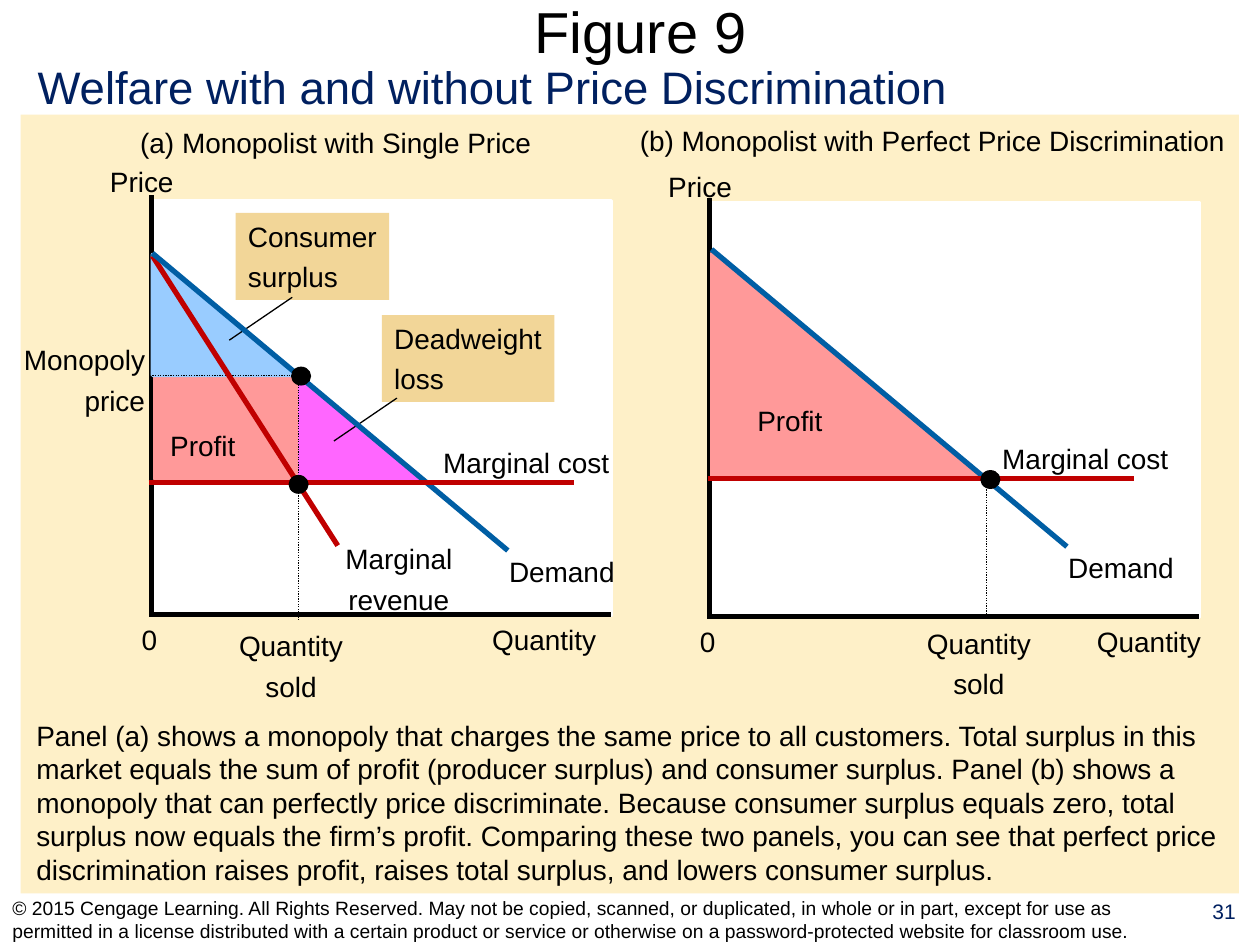
from lxml.etree import SubElement
from pptx import Presentation
from pptx.dml.color import RGBColor
from pptx.enum.dml import MSO_LINE_DASH_STYLE as Dash
from pptx.enum.shapes import MSO_CONNECTOR as Connector, MSO_SHAPE as Shape
from pptx.enum.text import MSO_ANCHOR as Anchor, MSO_AUTO_SIZE as AutoSize, PP_ALIGN as Align
from pptx.oxml.ns import qn
from pptx.util import Pt

COLORS = {
    "panel": "FEF0C8", "callout": "F2D698", "white": "FFFFFF", "black": "000000",
    "navy": "002060", "demand": "005EA4", "cost": "C00000",
    "profit": "FF9999", "surplus": "99CCFF", "loss": "FF66FF",
}
LABEL_HEIGHT, TWO_LINE_HEIGHT = 26.6, 49.7
QUANTITY_WIDTH = 77
DESCRIPTION = (
    "Panel (a) shows a monopoly that charges the same price to all customers. "
    "Total surplus in this market equals the sum of profit (producer surplus) and "
    "consumer surplus. Panel (b) shows a monopoly that can perfectly price "
    "discriminate. Because consumer surplus equals zero, total surplus now equals "
    "the firm’s profit. Comparing these two panels, you can see that perfect price "
    "discrimination raises profit, raises total surplus, and lowers consumer surplus."
)
COPYRIGHT = (
    "© 2015 Cengage Learning. All Rights Reserved. May not be copied, scanned, or "
    "duplicated, in whole or in part, except for use as permitted in a license "
    "distributed with a certain product or service or otherwise on a "
    "password-protected website for classroom use."
)


def color(name):
    return RGBColor.from_string(COLORS[name])


def add_text(slide, text, left, top, width, height=LABEL_HEIGHT, size=16, ink="black",
             align=Align.CENTER, space=4, wrap=False, anchor=Anchor.TOP, margin=7.2,
             fill=None):
    """Add a text box with one paragraph for each line of text."""
    shape = slide.shapes.add_textbox(Pt(left), Pt(top), Pt(width), Pt(height))
    if fill:
        shape.fill.solid()
        shape.fill.fore_color.rgb = color(fill)
    frame = shape.text_frame
    frame.word_wrap = wrap
    frame.auto_size = AutoSize.NONE if wrap else AutoSize.SHAPE_TO_FIT_TEXT
    frame.vertical_anchor = anchor
    frame.margin_left = frame.margin_right = Pt(margin)
    frame.margin_top = frame.margin_bottom = Pt(margin / 2)
    frame.text = text
    for index, paragraph in enumerate(frame.paragraphs):
        paragraph.alignment = align
        paragraph.space_before = Pt(space if index else 0)
        paragraph.font.name = "Arial"
        paragraph.font.size = Pt(size)
        paragraph.font.color.rgb = color(ink)


def add_area(slide, kind, fill, left, top, width, height, outline=True):
    shape = slide.shapes.add_shape(kind, Pt(left), Pt(top), Pt(width), Pt(height))
    shape.shadow.inherit = False
    shape.fill.solid()
    shape.fill.fore_color.rgb = color(fill)
    if outline:
        shape.line.color.rgb = color(fill)
        shape.line.width = Pt(2)
    else:
        shape.line.fill.background()
    if kind == Shape.ISOSCELES_TRIANGLE:
        shape.adjustments[0] = 0


def add_line(slide, x1, y1, x2, y2, ink="black", weight=3, dotted=False):
    line = slide.shapes.add_connector(Connector.STRAIGHT, Pt(x1), Pt(y1), Pt(x2), Pt(y2))
    line.line.color.rgb = color(ink)
    line.line.width = Pt(weight)
    if dotted:
        line.line.dash_style = Dash.ROUND_DOT
    SubElement(line._element.spPr, qn("a:effectLst"))


def add_guide(slide, x1, y1, x2, y2):
    add_line(slide, x1, y1, x2, y2, weight=0.75, dotted=True)


def add_dot(slide, left, top):
    add_area(slide, Shape.OVAL, "black", left, top, 11.5, 10.8, outline=False)


def add_quantity_label(slide, text, center, top, height=LABEL_HEIGHT):
    add_text(slide, text, center - QUANTITY_WIDTH / 2, top, QUANTITY_WIDTH, height)


def add_axes(slide, x, top, width, price_top, quantity_center):
    """Add the white plot area, both axes and their labels."""
    bottom = top + 239.5
    add_area(slide, Shape.RECTANGLE, "white", x + 1, top + 2.9, width - 1, 236.9)
    add_line(slide, x, top, x, bottom + 1)
    add_line(slide, x - 1, bottom, x + width, bottom)
    add_text(slide, "Price", x - 34.1, price_top, 54, align=Align.RIGHT)
    add_quantity_label(slide, "Quantity", quantity_center, bottom + 1)
    add_text(slide, "0", x - 13, bottom + 1, 24)


def add_curves(slide, dx=0, dy=0):
    """Add the demand and marginal cost curves, moved by dx and dy."""
    add_line(slide, 87.1 + dx, 144.7 + dy, 290.2 + dx, 314.6 + dy, "demand")
    add_text(slide, "Demand ", 283.7 + dx, 313.2 + dy, 79.2)
    add_line(slide, 85 + dx, 275.8 + dy, 328.3 + dx, 275.8 + dy, "cost")
    add_text(slide, "Marginal cost", 245 + dx, 250.9 + dy, 111.4)


def add_callout(slide, text, left, top, width, pointer):
    add_text(slide, text, left, top, width, TWO_LINE_HEIGHT, align=Align.LEFT,
             fill="callout")
    x, y = pointer
    add_line(slide, x, y, x + 36, y - 24.5, weight=0.75)


def add_single_price_panel(slide):
    add_text(slide, "(a) Monopolist with Single Price", 65.5, 68.4, 252.7, wrap=True)
    add_axes(slide, 86.4, 111.6, 263, 90.7, 311)
    add_area(slide, Shape.RECTANGLE, "profit", 88.6, 215.3, 81.4, 58.3)
    add_text(slide, "Profit ", 90, 241.2, 56.2)
    add_area(slide, Shape.ISOSCELES_TRIANGLE, "surplus", 87.1, 145.4, 82.8, 69.1)
    add_callout(slide, "Consumer\nsurplus", 134.6, 121.7, 87.8, (131, 194.4))
    add_area(slide, Shape.ISOSCELES_TRIANGLE, "loss", 171.4, 216.7, 69.8, 57.6)
    add_callout(slide, "Deadweight\nloss", 218.2, 180, 98.6, (190.8, 252))
    add_guide(slide, 87.1, 214.6, 170.6, 214.6)
    add_text(slide, "Monopoly\nprice", 4.5, 192.2, 85.5, TWO_LINE_HEIGHT, align=Align.RIGHT)
    add_guide(slide, 170.6, 216.7, 170.6, 355)
    add_quantity_label(slide, "Quantity\nsold", 166.3, 355.7, TWO_LINE_HEIGHT)
    add_line(slide, 87.1, 146.2, 193, 311.8, "cost")
    add_text(slide, "Marginal\nrevenue", 189, 306, 77.8, TWO_LINE_HEIGHT)
    add_curves(slide)
    add_dot(slide, 166.3, 209.5)
    add_dot(slide, 164.9, 271.4)


def add_discrimination_panel(slide):
    add_text(slide, "(b) Monopolist with Perfect Price Discrimination", 357.1, 67, 351.4,
             wrap=True)
    add_axes(slide, 405.4, 113, 280, 93.6, 656.6)
    add_guide(slide, 563.8, 272.2, 563.8, 353.5)
    add_quantity_label(slide, "Quantity\nsold", 559.4, 354.2, TWO_LINE_HEIGHT)
    add_area(slide, Shape.ISOSCELES_TRIANGLE, "profit", 406.8, 144.7, 153.4, 127.4)
    add_text(slide, "Profit ", 425.5, 226.8, 56.2)
    add_curves(slide, 319.5, -2.2)
    add_dot(slide, 560.2, 268.6)


def main():
    presentation = Presentation()
    presentation.slide_width, presentation.slide_height = Pt(720), Pt(540)
    slide = presentation.slides.add_slide(presentation.slide_layouts[6])
    add_area(slide, Shape.RECTANGLE, "panel", 11.8, 65.5, 696.2, 445, outline=False)
    add_text(slide, "Figure 9", 25.2, 0, 681.8, 35.3, size=33, wrap=True,
             anchor=Anchor.MIDDLE, margin=0)
    add_text(slide, "Welfare with and without Price Discrimination", 14.4, 30.2, 535, 38.9,
             size=26, ink="navy", align=Align.LEFT)
    add_single_price_panel(slide)
    add_discrimination_panel(slide)
    add_text(slide, DESCRIPTION, 13.7, 406.8, 700.6, 103.7, align=Align.LEFT, wrap=True)
    add_text(slide, COPYRIGHT, 0, 511.2, 678.2, 28.8, size=11, align=Align.LEFT, wrap=True,
             anchor=Anchor.MIDDLE)
    add_text(slide, "31", 679, 509.8, 41, 29.5, size=12, ink="navy", wrap=True)
    presentation.save("out.pptx")


if __name__ == "__main__":
    main()
